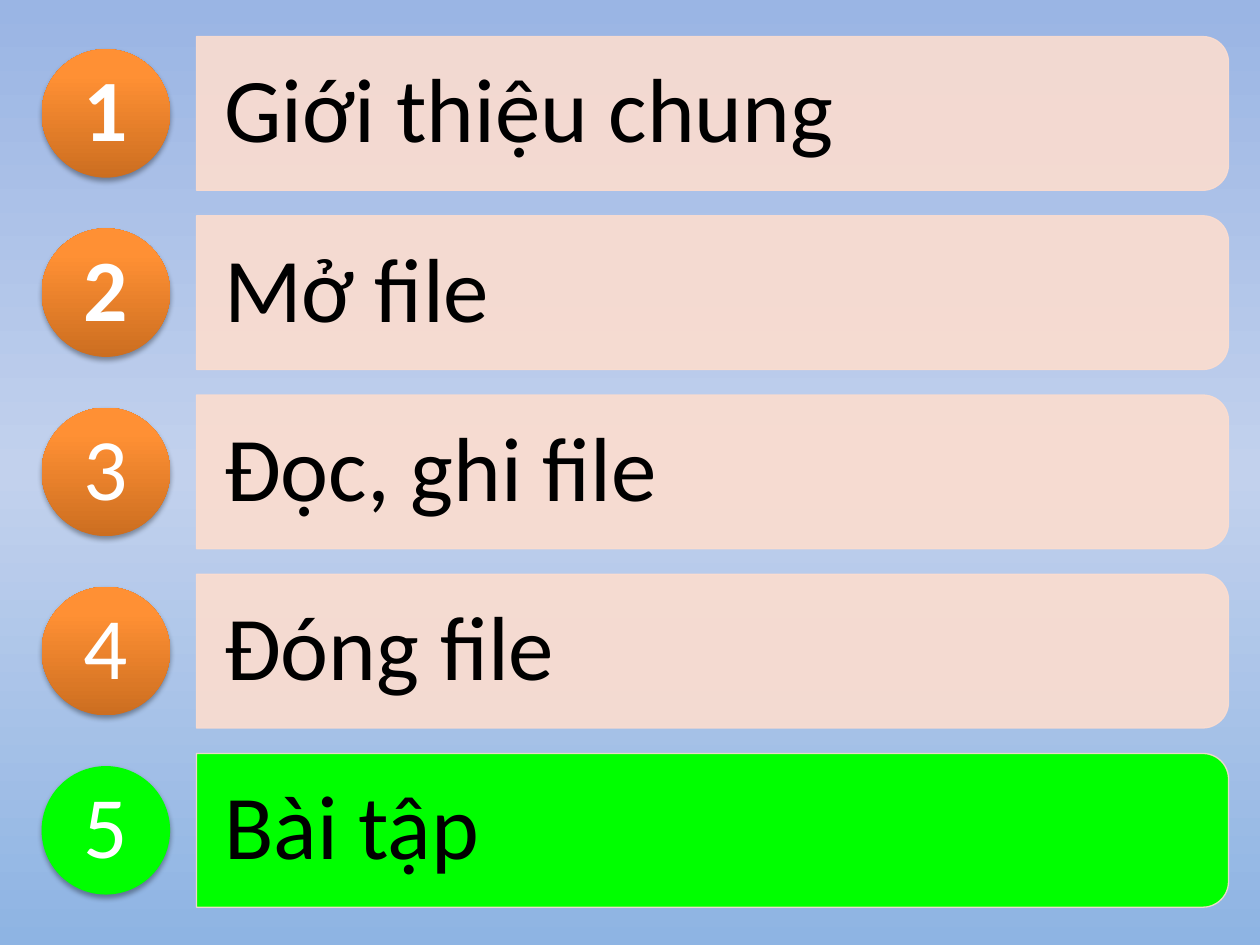
from lxml.etree import SubElement
from pptx import Presentation
from pptx.dml.color import RGBColor
from pptx.enum.shapes import MSO_SHAPE
from pptx.enum.text import MSO_ANCHOR, PP_ALIGN
from pptx.oxml.ns import qn
from pptx.util import Inches, Pt

COLORS = {
    "sky_top": "9AB5E4", "sky_middle": "C2D1ED", "sky_bottom": "8EB4E3",
    "orange_dark": "CC6E20", "orange": "FF9034", "orange_light": "FF9136",
    "bar": "FCDDCF", "active": "00FF00",
    "text": "000000", "number": "FFFFFF", "shadow": "000000",
}
TOPICS = ["Giới thiệu chung", "Mở file", "Đọc, ghi file", "Đóng file", "Bài tập"]
ACTIVE_NUMBER = 5
LAST_BOLD_NUMBER = 2


def set_gradient(fill, element, stops, angle):
    """Give a fill any number of stops; the angle runs counterclockwise."""
    fill.gradient()
    fill.gradient_angle = angle
    stop_list = element.find(".//" + qn("a:gsLst"))
    for old_stop in list(stop_list):
        stop_list.remove(old_stop)
    for position, color in stops:
        stop = SubElement(stop_list, qn("a:gs"), pos=str(position * 1000))
        SubElement(stop, qn("a:srgbClr"), val=COLORS[color])


def add_text(slide, box, text, size, color, margins, alignment, bold=None):
    """Add a vertically centred, one-line text box."""
    shape = slide.shapes.add_textbox(*box)
    frame = shape.text_frame
    frame.word_wrap = True
    frame.vertical_anchor = MSO_ANCHOR.MIDDLE
    frame.margin_left = frame.margin_right = Inches(margins[0])
    frame.margin_top = frame.margin_bottom = Inches(margins[1])
    paragraph = frame.paragraphs[0]
    paragraph.alignment = alignment
    paragraph.line_spacing = 0.9
    run = paragraph.add_run()
    run.text = text
    run.font.name = "Calibri"
    run.font.size = Pt(size)
    run.font.bold = bold
    run.font.color.rgb = RGBColor.from_string(COLORS[color])


presentation = Presentation()
presentation.slide_width = Inches(10)
presentation.slide_height = Inches(7.5)
slide = presentation.slides.add_slide(presentation.slide_layouts[6])

# Background
set_gradient(slide.background.fill, slide.element,
             [(0, "sky_top"), (50, "sky_middle"), (100, "sky_bottom")], 270)

# Row grid
first_center, last_center = Inches(0.9), Inches(6.59)
row_step = (last_center - first_center) // (len(TOPICS) - 1)
bar_left, bar_length, bar_height = Inches(1.56), Inches(8.19), Inches(1.22)
label_width, label_height = Inches(8.13), Inches(1.1)
circle_left, circle_size = Inches(0.33), Inches(1.02)
number_left, number_size = Inches(0.48), Inches(0.72)

for number, topic in enumerate(TOPICS, start=1):
    center = first_center + (number - 1) * row_step
    active = number == ACTIVE_NUMBER

    # Bar: upright shape turned so its rounded corners face right
    bar = slide.shapes.add_shape(
        MSO_SHAPE.ROUND_2_SAME_RECTANGLE,
        bar_left + (bar_length - bar_height) // 2, center - bar_length // 2,
        bar_height, bar_length)
    bar.rotation = 90
    bar.shadow.inherit = False
    bar.fill.solid()
    bar.fill.fore_color.rgb = RGBColor.from_string(COLORS["active" if active else "bar"])
    bar.line.color.rgb = RGBColor.from_string(COLORS["bar"])
    bar.line.width = Pt(0.75)
    for color in bar.element.iter(qn("a:srgbClr")):
        if color.get("val") == COLORS["bar"]:
            SubElement(color, qn("a:alpha"), val="90000")

    # Topic
    add_text(slide, (bar_left, center - label_height // 2, label_width, label_height),
             topic, 52, "text", (0.22, 0.14), PP_ALIGN.LEFT)

    # Circle with a soft shadow below
    circle = slide.shapes.add_shape(
        MSO_SHAPE.OVAL, circle_left, center - circle_size // 2, circle_size, circle_size)
    circle.line.fill.background()
    if active:
        circle.fill.solid()
        circle.fill.fore_color.rgb = RGBColor.from_string(COLORS["active"])
    else:
        set_gradient(circle.fill, circle.element,
                     [(0, "orange_dark"), (80, "orange"), (100, "orange_light")], 90)
    circle.shadow.inherit = False
    shadow = SubElement(circle.element.find(".//" + qn("a:effectLst")), qn("a:outerShdw"),
                        blurRad=str(Pt(3.1)), dist=str(Pt(1.8)), dir="5400000", rotWithShape="0")
    shadow_color = SubElement(shadow, qn("a:srgbClr"), val=COLORS["shadow"])
    SubElement(shadow_color, qn("a:alpha"), val="35000")

    # Number
    add_text(slide, (number_left, center - number_size // 2, number_size, number_size),
             str(number), 50, "number", (0, 0), PP_ALIGN.CENTER,
             bold=number <= LAST_BOLD_NUMBER)

presentation.save("out.pptx")
